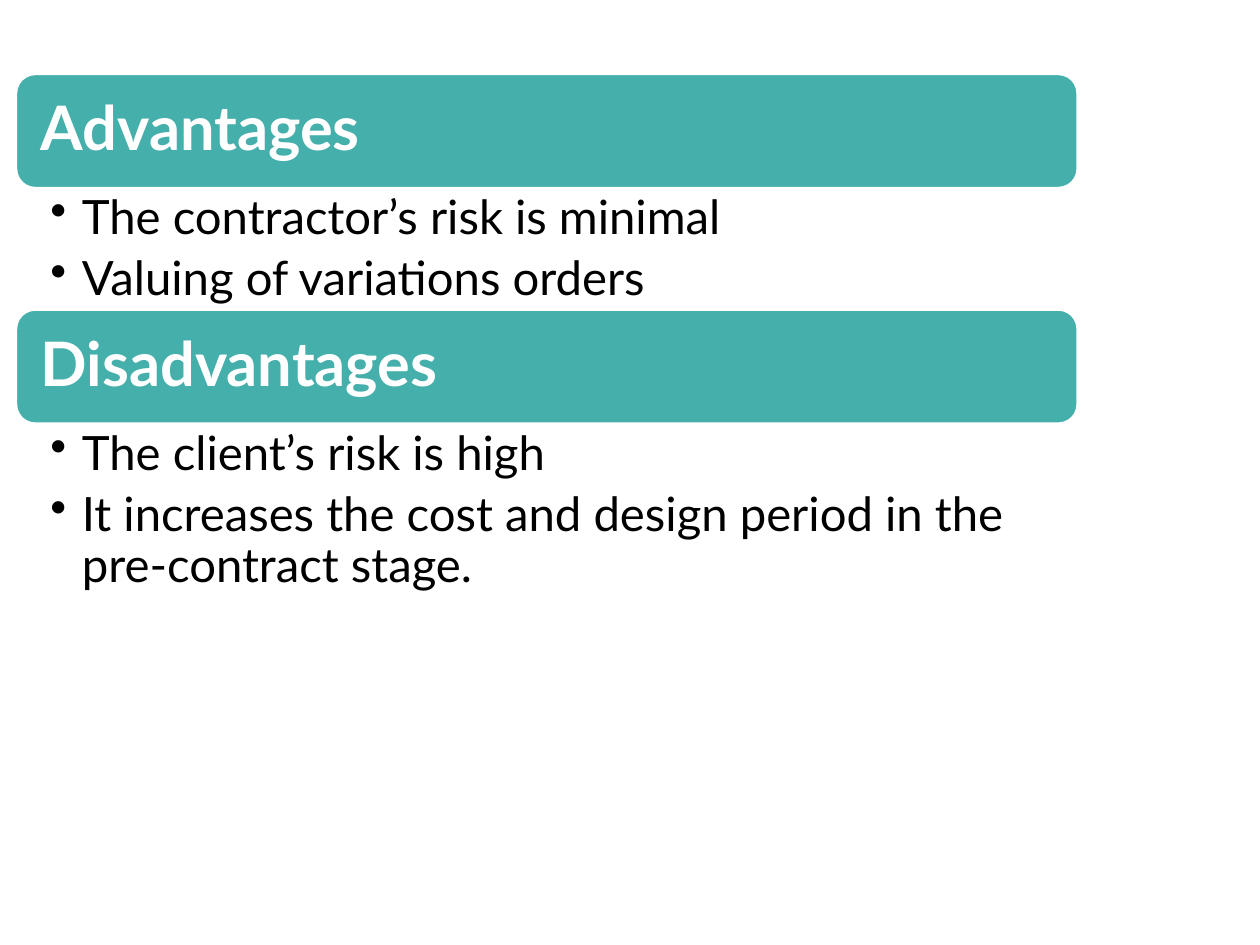
from dataclasses import dataclass

from lxml import etree
from pptx import Presentation
from pptx import util as u
from pptx.dml.color import RGBColor
from pptx.enum import shapes, text
from pptx.oxml.ns import qn


@dataclass(frozen=True)
class Theme:
    font: str = "Lato"
    accent: RGBColor = RGBColor(0x45, 0xB0, 0xAB)
    light: RGBColor = RGBColor(0xFF, 0xFF, 0xFF)
    dark: RGBColor = RGBColor(0x00, 0x00, 0x00)
    heading_size: float = 35
    body_size: float = 27
    line_spacing: float = 0.9
    bullet_gap: float = 5.5


class SlideBuilder:
    COLUMNS = 100
    ROWS = 75

    def __init__(self, presentation, theme):
        self.theme = theme
        self.slide = presentation.slides.add_slide(presentation.slide_layouts[6])
        self.column = presentation.slide_width / self.COLUMNS
        self.row = presentation.slide_height / self.ROWS

    def box(self, left, top, width, height):
        return (
            round(left * self.column),
            round(top * self.row),
            round(width * self.column),
            round(height * self.row),
        )

    def set_frame(self, frame, side, edge, anchor):
        frame.word_wrap = True
        frame.vertical_anchor = anchor
        frame.margin_left = frame.margin_right = u.Inches(side)
        frame.margin_top = frame.margin_bottom = u.Inches(edge)

    def set_paragraph(self, paragraph, size, color, bold=False):
        paragraph.alignment = text.PP_ALIGN.LEFT
        paragraph.line_spacing = self.theme.line_spacing
        paragraph.font.name = self.theme.font
        paragraph.font.size = u.Pt(size)
        paragraph.font.bold = bold
        paragraph.font.color.rgb = color

    def add_heading(self, heading, left, top, width, height):
        shape = self.slide.shapes.add_shape(
            shapes.MSO_SHAPE.ROUNDED_RECTANGLE, *self.box(left, top, width, height)
        )
        shape.shadow.inherit = False
        shape.fill.solid()
        shape.fill.fore_color.rgb = self.theme.accent
        shape.line.color.rgb = self.theme.light
        shape.line.width = u.Pt(1)
        self.set_frame(shape.text_frame, 0.15, 0.15, text.MSO_ANCHOR.MIDDLE)
        paragraph = shape.text_frame.paragraphs[0]
        paragraph.text = heading
        self.set_paragraph(paragraph, self.theme.heading_size, self.theme.light, True)

    def add_bullets(self, points, left, top, width, height):
        shape = self.slide.shapes.add_textbox(*self.box(left, top, width, height))
        frame = shape.text_frame
        self.set_frame(frame, 0.27, 0.05, text.MSO_ANCHOR.TOP)
        frame.text = "\n".join(points)
        for paragraph in frame.paragraphs:
            self.set_paragraph(paragraph, self.theme.body_size, self.theme.dark)
            paragraph.level = 1
            paragraph.space_after = u.Pt(self.theme.bullet_gap)
            properties = paragraph._p.get_or_add_pPr()
            properties.set("marL", str(u.Inches(0.25)))
            properties.set("indent", str(-u.Inches(0.25)))
            bullet = etree.Element(qn("a:buChar"), char="•")
            properties.find(qn("a:defRPr")).addprevious(bullet)


def main():
    presentation = Presentation()
    presentation.slide_width = u.Inches(10)
    presentation.slide_height = u.Inches(7.5)
    builder = SlideBuilder(presentation, Theme())

    left, top, width, heading_height = 1.3, 5.9, 84.2, 9
    sections = [
        (
            "Advantages",
            ["The contractor’s risk is minimal", "Valuing of variations orders"],
            9.7,
        ),
        (
            "Disadvantages",
            [
                "The client’s risk is high",
                "It increases the cost and design period in the pre-contract stage.",
            ],
            13.9,
        ),
    ]
    for heading, points, body_height in sections:
        builder.add_heading(heading, left, top, width, heading_height)
        top += heading_height
        builder.add_bullets(points, left, top, width, body_height)
        top += body_height

    presentation.save("out.pptx")


if __name__ == "__main__":
    main()
